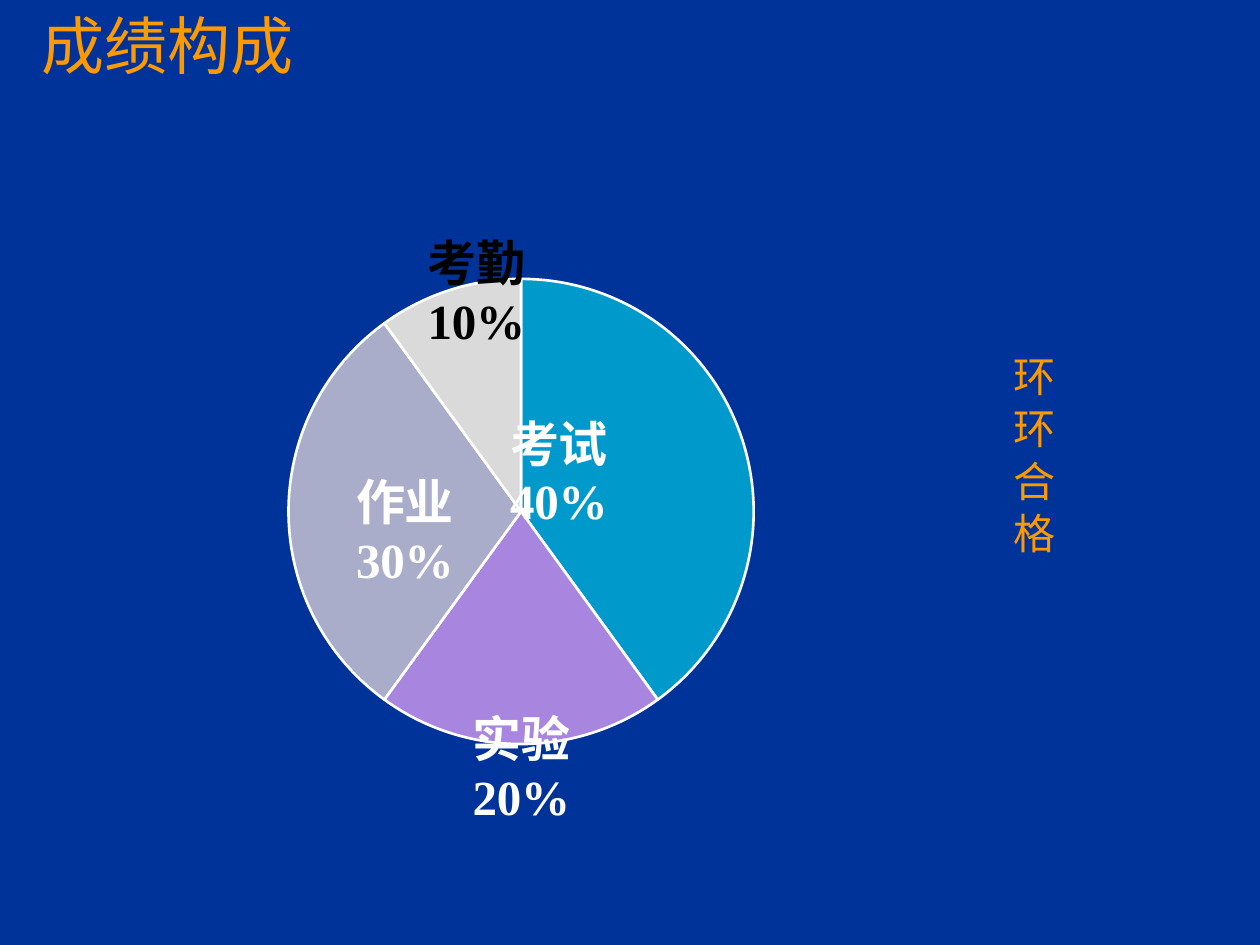
"""Build the grade composition slide with a pie chart."""
from dataclasses import dataclass

from lxml import etree
from pptx import Presentation
from pptx.chart.data import CategoryChartData
from pptx.dml.color import RGBColor
from pptx.enum.chart import XL_CHART_TYPE, XL_LABEL_POSITION
from pptx.enum.text import MSO_ANCHOR, MSO_AUTO_SIZE, PP_ALIGN
from pptx.oxml import parse_xml
from pptx.oxml.ns import nsdecls, qn
from pptx.util import Inches, Pt

PIE = XL_CHART_TYPE.PIE
CENTER = XL_LABEL_POSITION.CENTER
MIDDLE = MSO_ANCHOR.MIDDLE
GROW = MSO_AUTO_SIZE.SHAPE_TO_FIT_TEXT
LEFT = PP_ALIGN.LEFT


@dataclass(frozen=True)
class Theme:
    background: str = "003399"
    accent: str = "FF9900"
    light: str = "FFFFFF"
    dark: str = "000000"
    heading_font: str = "Noto Sans CJK SC"
    chart_font: str = "Times New Roman"
    title_size: int = 36
    motto_size: int = 24
    label_size: int = 28
    chart_size: int = 20


@dataclass(frozen=True)
class Slice:
    name: str
    share: int
    fill: str
    label_color: str
    label_shift: tuple[float, float]


THEME = Theme()
SLICES = [
    Slice("考试", 40, "0099CC", THEME.light, (-0.08, -0.01)),
    Slice("实验", 20, "A886E0", THEME.light, (0, 0.18)),
    Slice("作业", 30, "AAADCA", THEME.light, (0, 0.02)),
    Slice("考勤", 10, "DADADA", THEME.dark, (-0.01, -0.15)),
]


def rgb(value: str) -> RGBColor:
    """Turn a hex string into a colour."""
    return RGBColor.from_string(value)


def inches(*lengths: float) -> list[Inches]:
    """Turn numbers into lengths."""
    return [Inches(length) for length in lengths]


def format_font(font, *, size: int, color: str, name: str, bold: bool = False) -> None:
    """Set the usual properties of a font."""
    font.size, font.name, font.bold = Pt(size), name, bold
    font.color.rgb = rgb(color)


def write_text(shape, text: str, *, size: int, spacing: float = 0,
               vertical: bool = False) -> None:
    """Write one shadowed heading into a shape."""
    frame = shape.text_frame
    frame.word_wrap, frame.auto_size, frame.vertical_anchor = False, GROW, MIDDLE
    if vertical:
        frame._txBody.bodyPr.set("vert", "eaVert")
    para = frame.paragraphs[0]
    para.alignment = LEFT
    span = para.add_run()
    span.text = text
    format_font(span.font, size=size, color=THEME.accent, name=THEME.heading_font)
    properties = span.font._element
    if spacing:
        properties.set("spc", str(round(spacing * 100)))
    properties.find(qn("a:solidFill")).addnext(parse_xml(
        f'<a:effectLst {nsdecls("a")}><a:outerShdw dist="35921" dir="2700000">'
        f'<a:srgbClr val="{THEME.dark}"/></a:outerShdw></a:effectLst>'))
    properties.find(qn("a:latin")).addnext(parse_xml(
        f'<a:ea {nsdecls("a")} typeface="{THEME.heading_font}"/>'))


def manual_layout(**values: float | str):
    """Make a manual chart layout from its named values."""
    layout = parse_xml(f'<c:layout {nsdecls("c")}><c:manualLayout/></c:layout>')
    for tag, value in values.items():
        etree.SubElement(layout[0], qn(f"c:{tag}")).set("val", str(value))
    return layout


def format_slice(point, part: Slice) -> None:
    """Colour one slice and place its label."""
    point.format.fill.solid()
    point.format.fill.fore_color.rgb = rgb(part.fill)
    point.format.line.color.rgb = rgb(THEME.light)
    point.format.line.width = Pt(1.5)
    label = point.data_label
    format_font(label.font, size=THEME.label_size, color=part.label_color,
                name=THEME.chart_font, bold=True)
    label.position = CENTER
    element = label._dLbl
    for tag, shown in (("showVal", 0), ("showCatName", 1), ("showPercent", 1)):
        element.find(qn(f"c:{tag}")).set("val", str(shown))
    across, down = part.label_shift
    element.find(qn("c:idx")).addnext(manual_layout(x=across, y=down))
    etree.SubElement(element, qn("c:separator")).text = "\n"


def add_pie(slide) -> None:
    """Add the chart of grade shares."""
    data = CategoryChartData()
    data.categories = [part.name for part in SLICES]
    data.add_series("Series 1", [part.share for part in SLICES])
    chart = slide.shapes.add_chart(PIE, *inches(0.48, 1.07, 7.24, 5.98), data).chart
    chart.has_legend = chart.has_title = False
    format_font(chart.font, size=THEME.chart_size, color=THEME.light,
                name=THEME.chart_font)
    plot = chart.plots[0]
    plot.vary_by_categories = True
    labels = plot.series[0].data_labels
    labels.show_percentage = labels.show_category_name = True
    labels.show_value = False
    labels.position = CENTER
    format_font(labels.font, size=THEME.label_size, color=THEME.light,
                name=THEME.chart_font, bold=True)
    for index, part in enumerate(SLICES):
        format_slice(plot.series[0].points[index], part)
    area = chart._chartSpace.chart.plotArea
    for old in area.findall(qn("c:layout")):
        area.remove(old)
    area.insert(0, manual_layout(layoutTarget="inner", xMode="edge", yMode="edge",
                                 x=0.25, y=0.19, w=0.51, h=0.62))


def main() -> None:
    """Build and save the deck."""
    deck = Presentation()
    deck.slide_width, deck.slide_height = inches(10, 7.5)
    slide = deck.slides.add_slide(deck.slide_layouts[5])
    slide.background.fill.solid()
    slide.background.fill.fore_color.rgb = rgb(THEME.background)
    title = slide.shapes.title
    title.left, title.top, title.width, title.height = inches(0.23, 0, 2.22, 0.71)
    write_text(title, "成绩构成", size=THEME.title_size)
    add_pie(slide)
    motto = slide.shapes.add_textbox(*inches(7.76, 2.72, 0.88, 2.68))
    write_text(motto, "环环合格", size=THEME.motto_size, spacing=6, vertical=True)
    deck.save("out.pptx")


if __name__ == "__main__":
    main()
